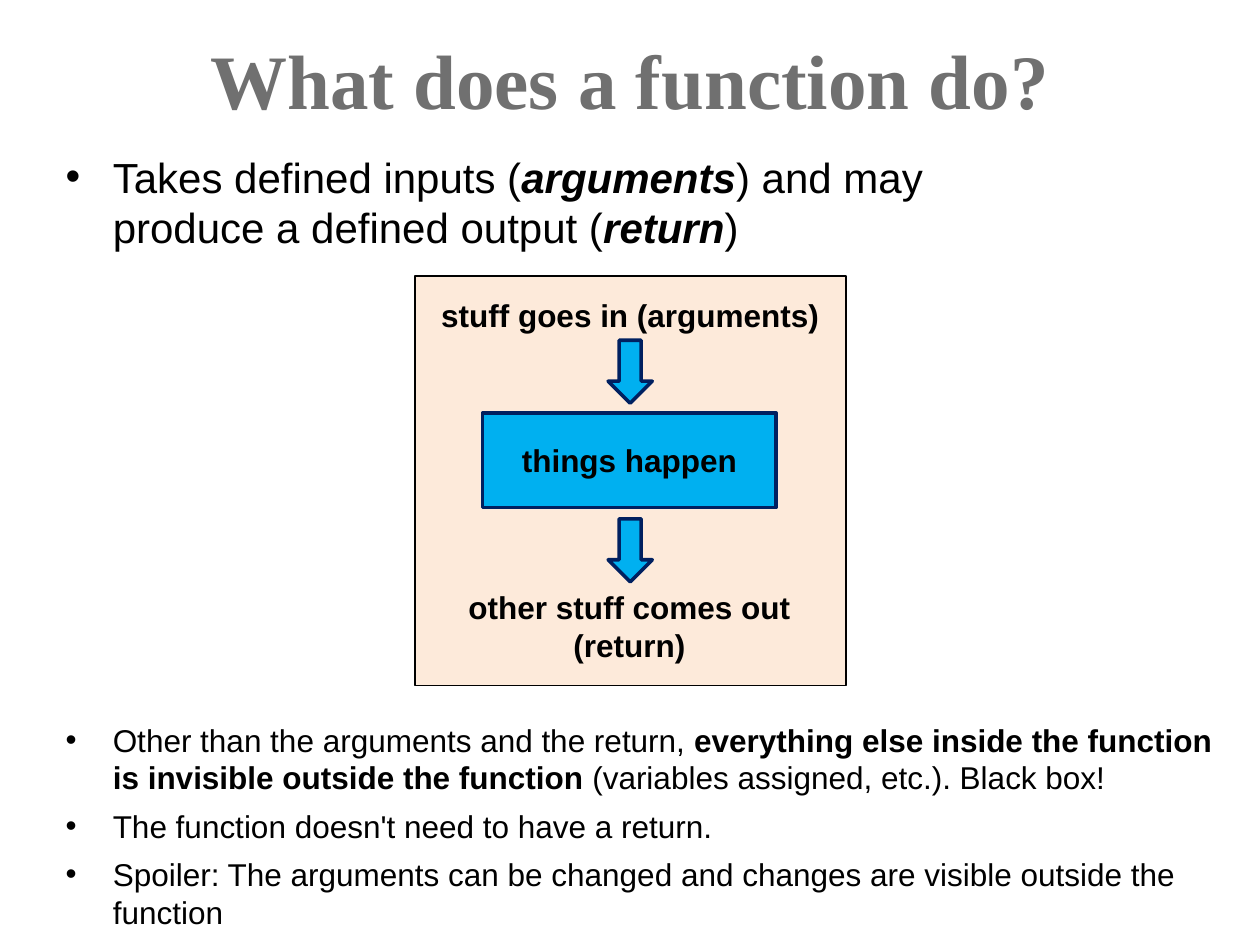
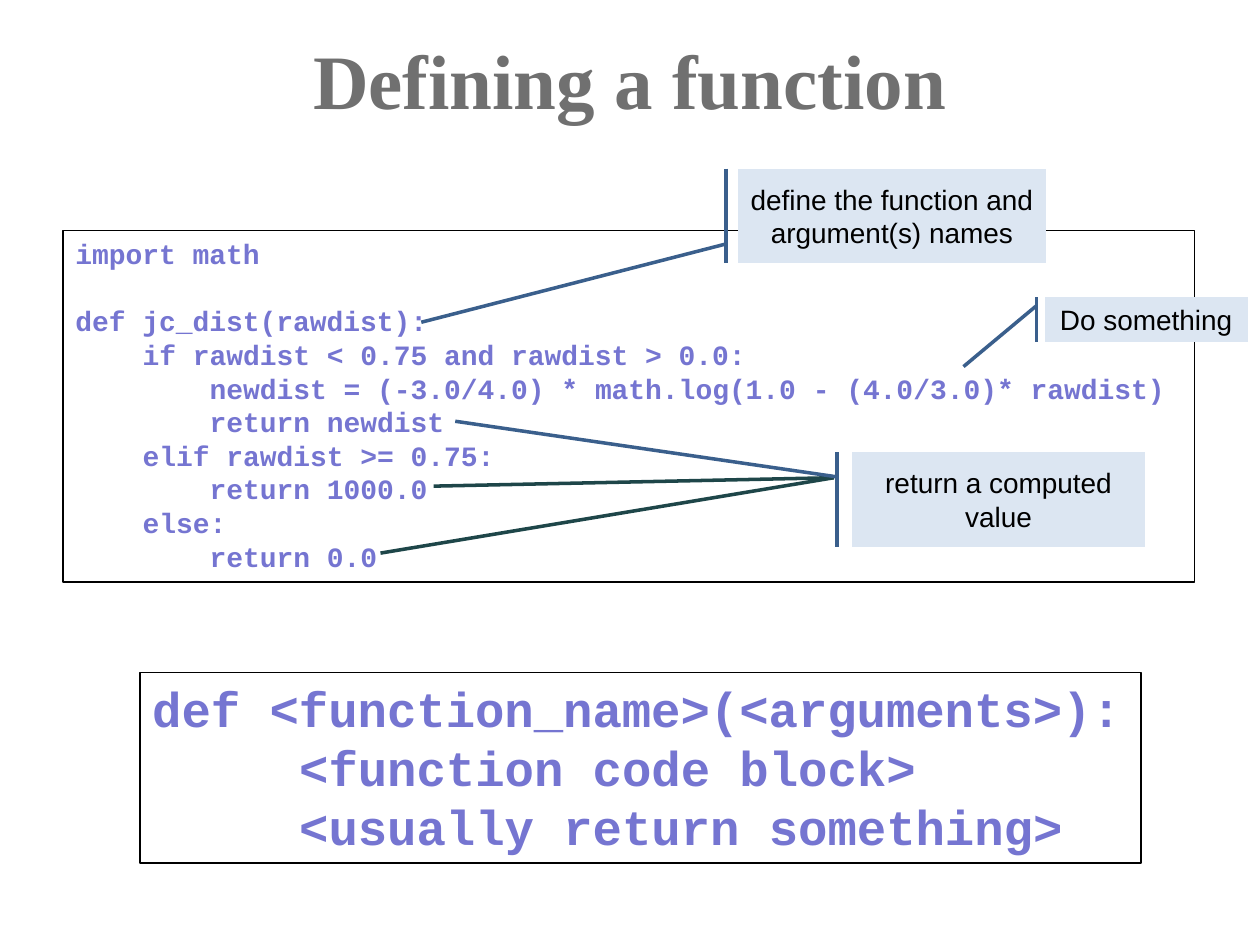
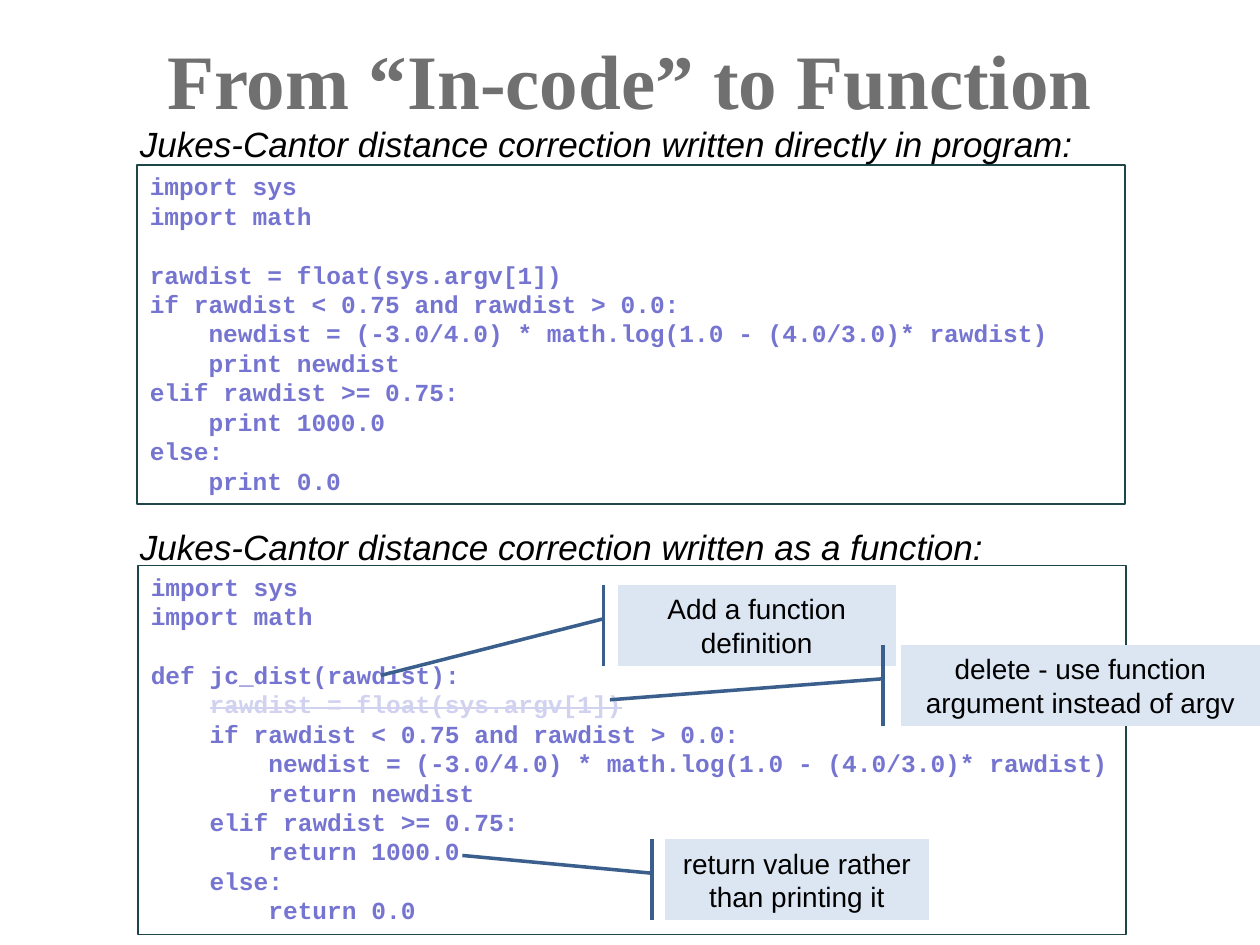
"""Build three slides that explain what a function is and how to define one."""
from lxml.etree import SubElement
from pptx import Presentation
from pptx.dml.color import RGBColor
from pptx.enum.shapes import MSO_CONNECTOR, MSO_SHAPE
from pptx.enum.text import MSO_ANCHOR, MSO_AUTO_SIZE, PP_ALIGN
from pptx.oxml.ns import qn
from pptx.util import Cm, Pt

BLACK = RGBColor(0x00, 0x00, 0x00)
WHITE = RGBColor(0xFF, 0xFF, 0xFF)
TITLE_GRAY = RGBColor(0x70, 0x70, 0x70)
CODE_VIOLET = RGBColor(0x75, 0x75, 0xD1)
FADED_VIOLET = RGBColor(0xD1, 0xD1, 0xF0)
PEACH = RGBColor(0xFD, 0xEA, 0xDA)
SKY_BLUE = RGBColor(0x00, 0xB0, 0xF0)
NAVY = RGBColor(0x00, 0x20, 0x60)
CALLOUT_FILL = RGBColor(0xDC, 0xE6, 0xF2)
CALLOUT_LINE = RGBColor(0x3A, 0x5F, 0x8C)
DARK_TEAL = RGBColor(0x1E, 0x46, 0x49)

BODY_FONT = "Arial"
CODE_FONT = "Courier New"
TITLE_FONT = "Times New Roman"
TWO_CONTENT, TITLE_ONLY = 3, 5
CODE_CHARACTER_WIDTH = 0.6  # share of the font size
CODE_LINE_HEIGHT = 1.2


def add_text(paragraph, text, *, size=18, font=BODY_FONT, color=BLACK,
             bold=False, italic=False, strike=False):
    """Append formatted text; a newline becomes a line break."""
    for number, line in enumerate(text.split("\n")):
        if number:
            paragraph.add_line_break()
        run = paragraph.add_run()
        run.text = line
        run.font.size = Pt(size)
        run.font.name = font
        run.font.color.rgb = color
        run.font.bold = bold
        run.font.italic = italic
        if strike:
            run._r.get_or_add_rPr().set("strike", "sngStrike")


def set_indent(paragraph, left, first=0):
    """Set the left margin and the first-line indent of a paragraph."""
    properties = paragraph._p.get_or_add_pPr()
    properties.set("marL", str(int(left)))
    properties.set("indent", str(int(first)))
    return properties


def place(shape, left, top, width, height):
    """Move and size a shape, in centimetres."""
    shape.left, shape.top = Cm(left), Cm(top)
    shape.width, shape.height = Cm(width), Cm(height)


def paragraphs_of(frame, count):
    """Yield the first paragraph of a text frame, then new ones."""
    for number in range(count):
        yield frame.add_paragraph() if number else frame.paragraphs[0]


class Deck:
    """Holds the presentation, the current slide and the shared style."""

    def __init__(self):
        """Start an empty presentation of 4:3 slides."""
        self.presentation = Presentation()
        self.presentation.slide_width = Cm(25.4)
        self.presentation.slide_height = Cm(19.05)
        self.slide = None
        self.shapes = None

    def add_slide(self, title, layout=TITLE_ONLY):
        """Open a new slide with its title."""
        self.slide = self.presentation.slides.add_slide(
            self.presentation.slide_layouts[layout])
        self.shapes = self.slide.shapes
        self.slide.background.fill.solid()
        self.slide.background.fill.fore_color.rgb = WHITE
        placeholder = self.shapes.title
        place(placeholder, 0, 0, 25.4, 3.18)
        frame = self.text_frame(placeholder, MSO_ANCHOR.MIDDLE)
        frame.paragraphs[0].alignment = PP_ALIGN.CENTER
        add_text(frame.paragraphs[0], title, size=44, font=TITLE_FONT,
                 color=TITLE_GRAY, bold=True)

    def open_group(self):
        """Put the next shapes into a group."""
        self.shapes = self.slide.shapes.add_group_shape().shapes

    def text_frame(self, shape, anchor=MSO_ANCHOR.TOP, wrap=True):
        """Return the text frame with its anchor and wrapping set."""
        frame = shape.text_frame
        frame.auto_size = MSO_AUTO_SIZE.NONE
        frame.word_wrap = wrap
        frame.vertical_anchor = anchor
        return frame

    def bullets(self, index, box, items, size):
        """Fill a body placeholder; each item is a list of (text, format)."""
        placeholder = self.slide.placeholders[index]
        place(placeholder, *box)
        frame = self.text_frame(placeholder)
        for paragraph, item in zip(paragraphs_of(frame, len(items)), items):
            paragraph.space_before = Pt(0)
            paragraph.space_after = Pt(6)
            properties = set_indent(paragraph, Cm(0.95), -Cm(0.95))
            bullet_color = SubElement(properties, qn("a:buClr"))
            SubElement(bullet_color, qn("a:srgbClr")).set("val", str(BLACK))
            SubElement(properties, qn("a:buFont")).set("typeface", BODY_FONT)
            SubElement(properties, qn("a:buChar")).set("char", "\u2022")
            for text, text_format in item:
                add_text(paragraph, text, size=size, **text_format)

    def shape(self, kind, box, line, line_width, fill=None):
        """Add a preset shape with an outline and an optional fill."""
        shape = self.shapes.add_shape(kind, *map(Cm, box))
        shape.shadow.inherit = False
        if fill is None:
            shape.fill.background()
        else:
            shape.fill.solid()
            shape.fill.fore_color.rgb = fill
        shape.line.color.rgb = line
        shape.line.width = Pt(line_width)
        return shape

    def centered_text(self, shape, text, anchor=MSO_ANCHOR.MIDDLE, wrap=True,
                      **text_format):
        """Write one centred paragraph into a shape."""
        paragraph = self.text_frame(shape, anchor, wrap).paragraphs[0]
        paragraph.alignment = PP_ALIGN.CENTER
        add_text(paragraph, text, **text_format)

    def flow_shape(self, kind, box):
        """Add a blue part of the flow diagram."""
        return self.shape(kind, box, NAVY, 2, SKY_BLUE)

    def flow_label(self, box, text, wrap=True):
        """Add a bold label of the flow diagram."""
        label = self.shapes.add_textbox(*map(Cm, box))
        self.centered_text(label, text, MSO_ANCHOR.TOP, wrap, bold=True)

    def heading(self, box, text):
        """Add an italic heading above a code box."""
        frame = self.text_frame(self.shapes.add_textbox(*map(Cm, box)))
        add_text(frame.paragraphs[0], text, size=20, italic=True)

    def code(self, box, source, size, line=BLACK, deleted=None):
        """Add a framed listing; margins stand for its indents and gaps."""
        frame = self.text_frame(self.shape(MSO_SHAPE.RECTANGLE, box, line, 1))
        lines = source.strip("\n").split("\n")
        filled = [number for number, text in enumerate(lines) if text]
        paragraphs = paragraphs_of(frame, len(filled))
        for paragraph, number in zip(paragraphs, filled):
            text = lines[number].lstrip()
            columns = len(lines[number]) - len(text)
            paragraph.alignment = PP_ALIGN.LEFT
            set_indent(paragraph, Pt(columns * CODE_CHARACTER_WIDTH * size))
            if number and not lines[number - 1]:
                paragraph.space_before = Pt(CODE_LINE_HEIGHT * size)
            is_deleted = text == deleted
            add_text(paragraph, text, size=size, font=CODE_FONT, bold=True,
                     color=FADED_VIOLET if is_deleted else CODE_VIOLET,
                     strike=is_deleted)

    def callout(self, box, text, adjustments):
        """Add a callout with an accent bar and a leader line."""
        callout = self.shape(MSO_SHAPE.LINE_CALLOUT_1_ACCENT_BAR, box,
                             CALLOUT_LINE, 2, CALLOUT_FILL)
        for number, value in enumerate(adjustments):
            callout.adjustments[number] = value
        self.centered_text(callout, text, size=16)

    def leader(self, start, end):
        """Add a straight line from a code line to a callout."""
        connector = self.shapes.add_connector(
            MSO_CONNECTOR.STRAIGHT, *map(Cm, start + end))
        connector.line.color.rgb = DARK_TEAL
        connector.line.width = Pt(2)
        SubElement(connector._element.spPr, qn("a:effectLst"))


PLAIN, BOLD = {}, {"bold": True}
BOLD_ITALIC = {"bold": True, "italic": True}

FUNCTION_BODY = """
def jc_dist(rawdist):
    if rawdist < 0.75 and rawdist > 0.0:
        newdist = (-3.0/4.0) * math.log(1.0 - (4.0/3.0)* rawdist)
        return newdist
    elif rawdist >= 0.75:
        return 1000.0
    else:
        return 0.0
"""

SYNTAX = """
def <function_name>(<arguments>):
     <function code block>
     <usually return something>
"""

ARGUMENT_LINE = "rawdist = float(sys.argv[1])"
IN_CODE = f"""
import sys
import math

{ARGUMENT_LINE}
if rawdist < 0.75 and rawdist > 0.0:
    newdist = (-3.0/4.0) * math.log(1.0 - (4.0/3.0)* rawdist)
    print newdist
elif rawdist >= 0.75:
    print 1000.0
else:
    print 0.0
"""


def build_purpose_slide(deck):
    """Slide 1: inputs, black box and output of a function."""
    deck.add_slide("What does a function do?", TWO_CONTENT)
    deck.bullets(1, (1.07, 2.92, 22.86, 2.16), [
        [("Takes defined inputs (", PLAIN), ("arguments", BOLD_ITALIC),
         (") and may\nproduce a defined output (", PLAIN),
         ("return", BOLD_ITALIC), (")", PLAIN)],
    ], 24)
    deck.bullets(2, (1.07, 14.4, 23.77, 4.45), [
        [("Other than the arguments and the return, ", PLAIN),
         ("everything else inside the function is invisible outside the "
          "function ", BOLD),
         ("(variables assigned, etc.). Black box!", PLAIN)],
        [("The function doesn't need to have a return.", PLAIN)],
        [("Spoiler: The arguments can be changed and changes are visible "
          "outside the function", PLAIN)],
    ], 18)
    deck.open_group()
    deck.shape(MSO_SHAPE.RECTANGLE, (8.36, 5.56, 8.69, 8.26), BLACK, 1, PEACH)
    process = deck.flow_shape(MSO_SHAPE.RECTANGLE, (9.73, 8.33, 5.92, 1.9))
    deck.centered_text(process, "things happen", bold=True)
    for top in (6.86, 10.46):
        deck.flow_shape(MSO_SHAPE.DOWN_ARROW, (12.26, top, 0.89, 1.27))
    deck.flow_label((8.64, 5.84, 8.13, 1.02), "stuff goes in (arguments)",
                    wrap=False)
    deck.flow_label((8.74, 11.73, 7.9, 1.8),
                    "other stuff comes out (return)")


def build_definition_slide(deck):
    """Slide 2: an annotated function and the general syntax."""
    deck.add_slide("Defining a function")
    deck.code((1.27, 4.65, 22.81, 7.09),
              "import math\n" + FUNCTION_BODY, 16)
    deck.code((2.82, 13.56, 20.19, 3.84), SYNTAX, 28)
    deck.callout((14.88, 3.4, 6.2, 1.9),
                 "define the function and argument(s) names",
                 (0.8, -0.04, 1.63, -1.03))
    deck.callout((21.06, 5.99, 4.09, 0.91), "Do something",
                 (0.19, -0.04, 1.54, -0.4))
    deck.open_group()
    for start in ((7.67, 11.15), (8.74, 9.8)):
        deck.leader(start, (16.81, 9.63))
    deck.callout((17.17, 9.12, 5.92, 1.9), "return a computed value",
                 (0.26, -0.05, -0.33, -1.35))


def build_conversion_slide(deck):
    """Slide 3: the same code in the program and as a function."""
    deck.add_slide("From \u201cIn-code\u201d to Function")
    deck.code((2.77, 3.33, 19.91, 6.83), IN_CODE, 14, DARK_TEAL)
    definition = FUNCTION_BODY.replace(
        "(rawdist):\n", f"(rawdist):\n    {ARGUMENT_LINE}\n")
    deck.code((2.79, 11.4, 19.91, 7.44),
              "import sys\nimport math\n" + definition, 14, DARK_TEAL,
              deleted=ARGUMENT_LINE)
    callouts = [
        ((12.45, 11.79, 5.61), "Add a function definition", (1.12, -0.85)),
        ((18.16, 13, 7.24), "delete - use function argument instead of argv",
         (0.68, -0.81)),
        ((13.41, 16.92, 5.31), "return value rather than printing it",
         (0.2, -0.77)),
    ]
    for box, text, target in callouts:
        deck.callout(box + (1.63,), text, (0.42, -0.05) + target)
    deck.heading((2.57, 2.34, 19.76, 1.12),
                 "Jukes-Cantor distance correction written directly in "
                 "program:")
    deck.heading((2.57, 10.46, 17.86, 1.12),
                 "Jukes-Cantor distance correction written as a function:")


def main():
    """Build all slides and save them."""
    deck = Deck()
    build_purpose_slide(deck)
    build_definition_slide(deck)
    build_conversion_slide(deck)
    deck.presentation.save("out.pptx")


main()
